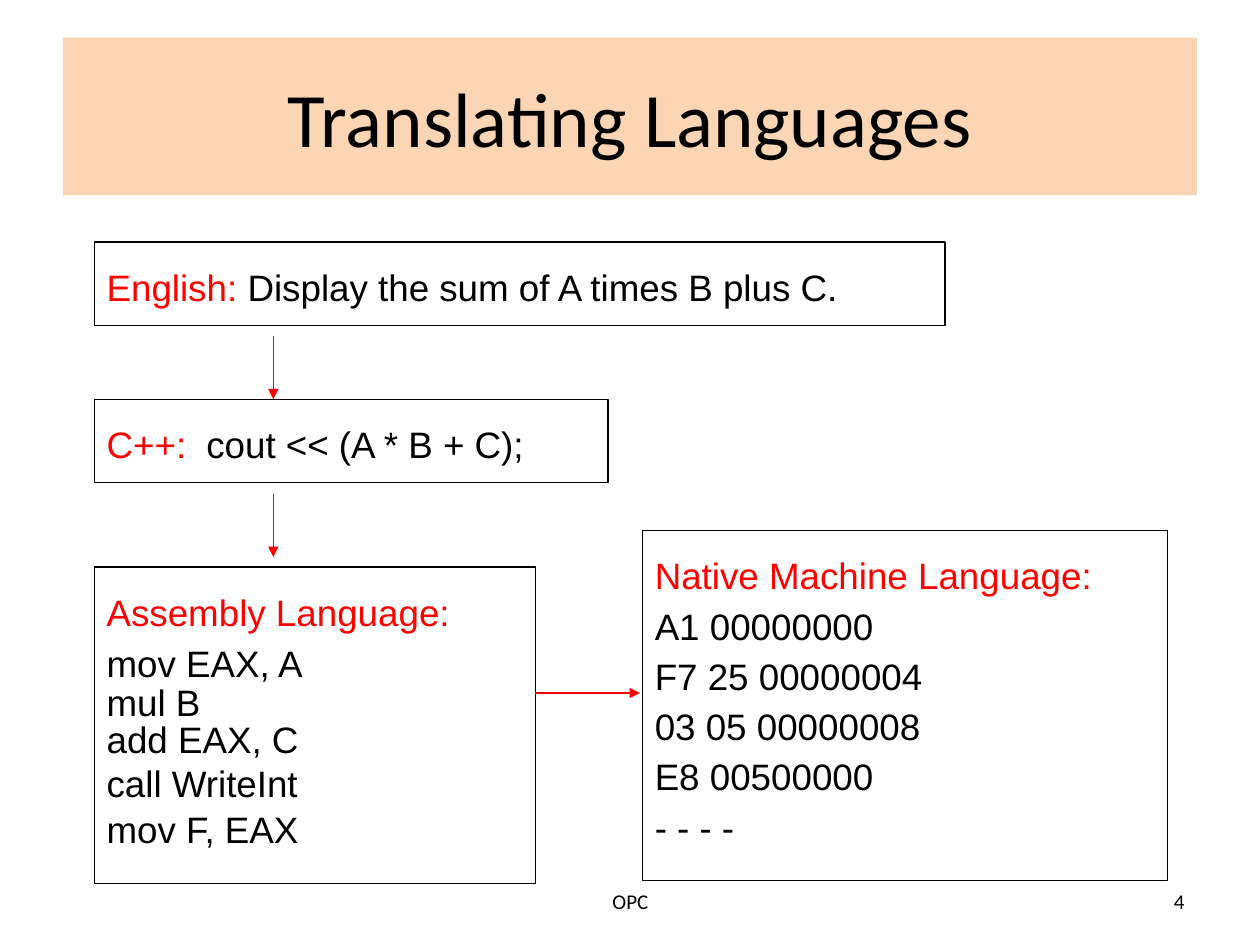
"""Build a slide showing one statement translated from English to machine code."""
import pptx
import pptx.dml.color
import pptx.enum.shapes
import pptx.enum.text
import pptx.oxml
import pptx.oxml.ns
import pptx.util

Cm, Pt = pptx.util.Cm, pptx.util.Pt
ALIGN = pptx.enum.text.PP_ALIGN
ANCHOR = pptx.enum.text.MSO_ANCHOR
NS = pptx.oxml.ns.nsdecls("a")


def rgb(value):
    return pptx.dml.color.RGBColor.from_string(value)


def add_run(p, text, font, size, color):
    r = p.add_run()
    r.text = text
    for name, value in {"name": font, "size": Pt(size)}.items():
        setattr(r.font, name, value)
    r.font.color.rgb = rgb(color)


prs = pptx.Presentation()
prs.slide_width, prs.slide_height = Cm(25.4), Cm(19.05)
s = prs.slides.add_slide(prs.slide_layouts[6])

labels = [
    ("Translating Languages", 44, ALIGN.CENTER, "FCD5B5", (1.27, 0.76, 22.86, 3.18)),
    ("OPC", 12, ALIGN.CENTER, None, (8.69, 17.65, 8.04, 1.02)),
    ("4", 12, ALIGN.RIGHT, None, (18.21, 17.65, 5.92, 1.02)),
]
for text, size, align, fill, box in labels:
    sp = s.shapes.add_textbox(*map(Cm, box))
    if fill:
        sp.fill.solid()
        sp.fill.fore_color.rgb = rgb(fill)
    tf = sp.text_frame
    tf.word_wrap = True
    tf.vertical_anchor = ANCHOR.MIDDLE
    p = tf.paragraphs[0]
    p.alignment = align
    add_run(p, text, "Calibri", size, "000000")

panels = [
    ((1.9, 4.88, 17.15, 1.68), "English: ", "Display the sum of A times B plus C.", []),
    ((1.9, 8.05, 10.36, 1.68), "C++:\t", "cout << (A * B + C);", []),
    ((1.9, 11.43, 8.89, 6.38), "Assembly Language:", "",
     [("mov EAX, A", 0.7), ("mul B", 0.4), ("add EAX, C", 0.4),
      ("call WriteInt", 0.6), ("mov F, EAX", 0.6)]),
    ((12.95, 10.69, 10.59, 7.06), "Native Machine Language:", "",
     [("A1 00000000", 0.7), ("F7 25 00000004", 0.7), ("03 05 00000008", 0.7),
      ("E8 00500000", 0.7), ("- - - -", 0.7)]),
]
frame = {"margin_left": Cm(0.25), "margin_right": Cm(0.25), "margin_top": Cm(0.45),
         "margin_bottom": Cm(0.38), "word_wrap": True, "vertical_anchor": ANCHOR.TOP}
for box, heading, sentence, code in panels:
    sp = s.shapes.add_shape(pptx.enum.shapes.MSO_SHAPE.RECTANGLE, *map(Cm, box))
    sp.shadow.inherit = False
    sp.fill.background()
    sp.line.color.rgb = rgb("000000")
    sp.line.width = Pt(0.75)
    tf = sp.text_frame
    for name, value in frame.items():
        setattr(tf, name, value)
    p = tf.paragraphs[0]
    p.alignment = ALIGN.LEFT
    if "\t" in heading:
        p._p.get_or_add_pPr().append(pptx.oxml.parse_xml(
            f'<a:tabLst {NS}><a:tab pos="{Cm(2.01)}" algn="l"/></a:tabLst>'))
    add_run(p, heading, "Arial", 21, "FF0000")
    if sentence:
        add_run(p, sentence, "Arial", 21, "000000")
    for text, spacing in code:
        p = tf.add_paragraph()
        for name, value in {"alignment": ALIGN.LEFT, "line_spacing": spacing,
                            "space_before": Pt(11)}.items():
            setattr(p, name, value)
        add_run(p, text, "Arial", 21, "000000")

arrows = [(5.51, 6.78, 5.51, 8.05), (5.51, 9.96, 5.51, 11.23), (10.79, 13.97, 12.9, 13.97)]
for ends in arrows:
    sp = s.shapes.add_connector(pptx.enum.shapes.MSO_CONNECTOR.STRAIGHT, *map(Cm, ends))
    sp.line.color.rgb = rgb("FF0000")
    sp.line.width = Pt(0.75)
    sp.line._get_or_add_ln().append(pptx.oxml.parse_xml(f'<a:tailEnd {NS} type="triangle"/>'))
    sp._element.spPr.append(pptx.oxml.parse_xml(f"<a:effectLst {NS}/>"))

prs.save("out.pptx")
